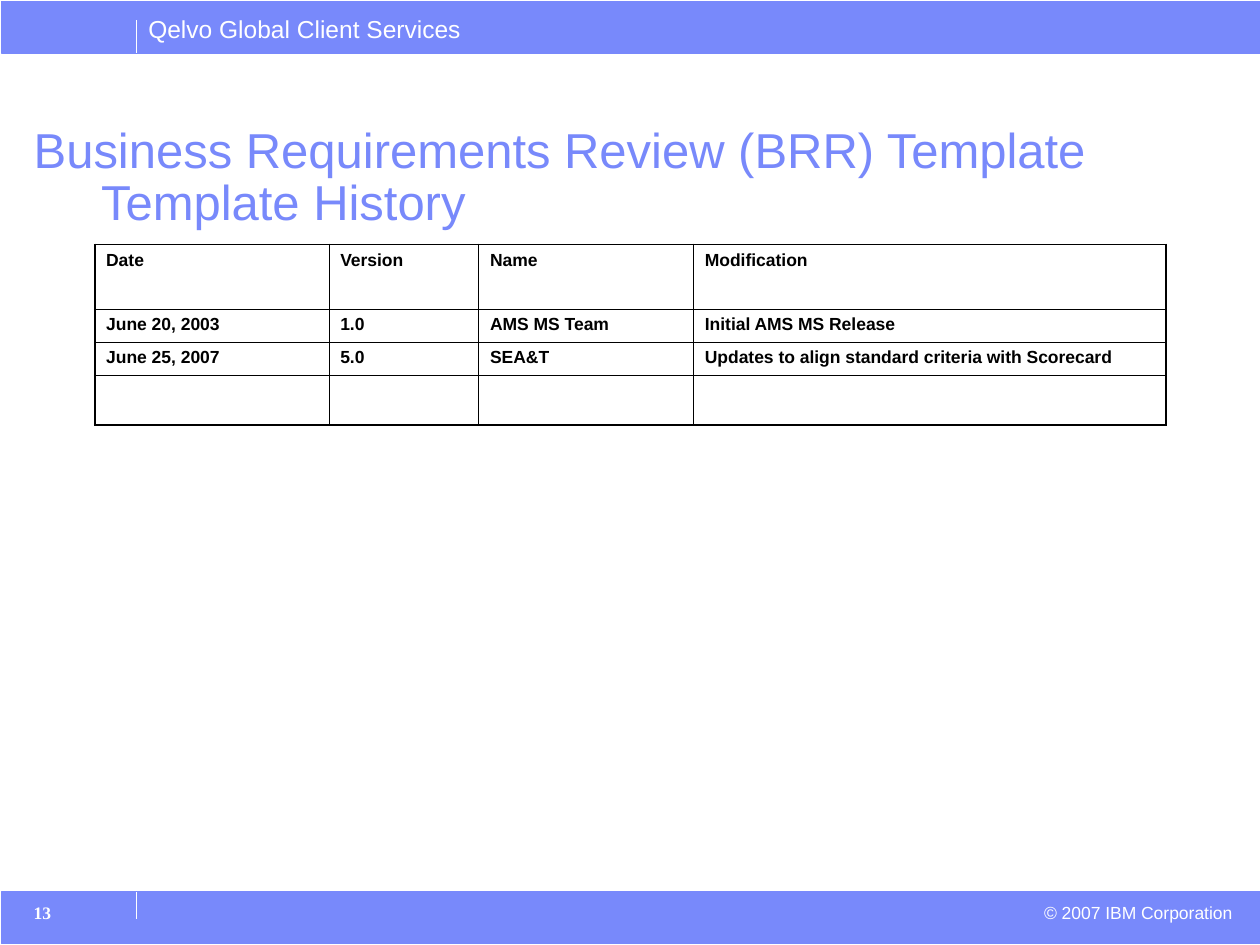
from lxml import etree
from pptx import Presentation
from pptx.dml.color import RGBColor
from pptx.enum.shapes import MSO_CONNECTOR, MSO_SHAPE
from pptx.enum.text import PP_ALIGN
from pptx.oxml.ns import qn
from pptx.util import Cm, Pt

RECTANGLE = MSO_SHAPE.RECTANGLE
STRAIGHT = MSO_CONNECTOR.STRAIGHT
LEFT, RIGHT = PP_ALIGN.LEFT, PP_ALIGN.RIGHT

COLORS = {"band": "7889FB", "white": "FFFFFF", "black": "000000"}

HEADER = "Qelvo Global Client Services"
TITLE = "Business Requirements Review (BRR) Template\vTemplate History"
COPYRIGHT = "© 2007 IBM Corporation"
PAGE_NUMBER = "13"
HISTORY = [
    ("Date", "Version", "Name", "Modification"),
    ("June 20, 2003", "1.0", "AMS MS Team", "Initial AMS MS Release"),
    ("June 25, 2007", "5.0", "SEA&T", "Updates to align standard criteria with Scorecard"),
    ("", "", "", ""),
]

# Lengths in centimetres
SLIDE_WIDTH, SLIDE_HEIGHT = 25.4, 19.05
BAND_HEIGHT = 1.04
BAND_TOPS = (0.03, 17.98)
DIVIDER_X = 2.75
DIVIDER_SPANS = ((0.41, 1.07), (17.98, 18.52))
TABLE_LEFT, TABLE_TOP = 1.91, 4.93
COLUMN_WIDTHS = (4.72, 3.02, 4.33, 9.52)
ROW_HEIGHTS = (1.3, 0.65, 0.66, 0.96)
INNER_BORDER, OUTER_BORDER = Pt(0.45), Pt(1.08)


def rgb(name):
    return RGBColor.from_string(COLORS[name])


def write(frame, text, size, color="white", font="Arial", bold=False,
          align=LEFT, line_spacing=None, hanging=0):
    paragraph = frame.paragraphs[0]
    paragraph.text = text
    paragraph.alignment = align
    paragraph.line_spacing = line_spacing
    if hanging:
        properties = paragraph._p.get_or_add_pPr()
        properties.set("marL", str(Cm(hanging)))
        properties.set("indent", str(-Cm(hanging)))
    for run in paragraph.runs:
        run.font.name = font
        run.font.size = Pt(size)
        run.font.bold = bold
        run.font.color.rgb = rgb(color)


def add_text(slide, box, text, size, wrap=True, **text_format):
    frame = slide.shapes.add_textbox(*map(Cm, box)).text_frame
    frame.word_wrap = wrap
    write(frame, text, size, **text_format)


def add_band(slide, top):
    band = slide.shapes.add_shape(
        RECTANGLE, Cm(0.03), Cm(top), Cm(SLIDE_WIDTH - 0.03), Cm(BAND_HEIGHT))
    band.shadow.inherit = False
    band.fill.solid()
    band.fill.fore_color.rgb = rgb("band")
    band.line.color.rgb = rgb("band")
    band.line.width = Pt(1)


def add_divider(slide, start, end):
    divider = slide.shapes.add_connector(
        STRAIGHT, Cm(DIVIDER_X), Cm(start), Cm(DIVIDER_X), Cm(end))
    divider.line.color.rgb = rgb("white")
    divider.line.width = Pt(1)
    etree.SubElement(divider._element.spPr, qn("a:effectLst"))


def set_borders(cell, outer_sides):
    """Draw all four cell borders, heavier on the table's outer sides."""
    properties = cell._tc.get_or_add_tcPr()
    for position, side in enumerate("LRTB"):
        width = OUTER_BORDER if side in outer_sides else INNER_BORDER
        border = etree.Element(qn(f"a:ln{side}"), w=str(width))
        fill = etree.SubElement(border, qn("a:solidFill"))
        etree.SubElement(fill, qn("a:srgbClr"), val=COLORS["black"])
        properties.insert(position, border)


def add_history_table(slide):
    rows, columns = len(HISTORY), len(COLUMN_WIDTHS)
    table = slide.shapes.add_table(
        rows, columns, Cm(TABLE_LEFT), Cm(TABLE_TOP),
        Cm(sum(COLUMN_WIDTHS)), Cm(sum(ROW_HEIGHTS))).table
    for column, width in zip(table.columns, COLUMN_WIDTHS):
        column.width = Cm(width)
    for row, height in zip(table.rows, ROW_HEIGHTS):
        row.height = Cm(height)
    for r, entries in enumerate(HISTORY):
        for c, entry in enumerate(entries):
            cell = table.cell(r, c)
            cell.margin_left = cell.margin_right = Cm(0.23)
            cell.margin_top = cell.margin_bottom = Cm(0.12)
            cell.fill.background()
            write(cell.text_frame, entry, 10, color="black", bold=True)
            edges = {"L": c == 0, "R": c == columns - 1,
                     "T": r == 0, "B": r == rows - 1}
            set_borders(cell, [side for side, outer in edges.items() if outer])


def main():
    presentation = Presentation()
    presentation.slide_width = Cm(SLIDE_WIDTH)
    presentation.slide_height = Cm(SLIDE_HEIGHT)
    slide = presentation.slides.add_slide(presentation.slide_layouts[6])

    for top in BAND_TOPS:
        add_band(slide, top)
    add_text(slide, (2.74, 0.15, 7.14, 0.84), HEADER, 14, wrap=False)
    add_text(slide, (15.9, 18.06, 9.19, 0.69), COPYRIGHT, 10, align=RIGHT)
    for start, end in DIVIDER_SPANS:
        add_divider(slide, start, end)
    add_text(slide, (0.43, 2.41, 22.91, 1.4), TITLE, 28, color="band",
             line_spacing=0.9, hanging=1.36)
    add_history_table(slide)
    add_text(slide, (0.43, 18.06, 2.79, 0.89), PAGE_NUMBER, 10,
             font="Times New Roman", bold=True)

    presentation.save("out.pptx")


if __name__ == "__main__":
    main()
